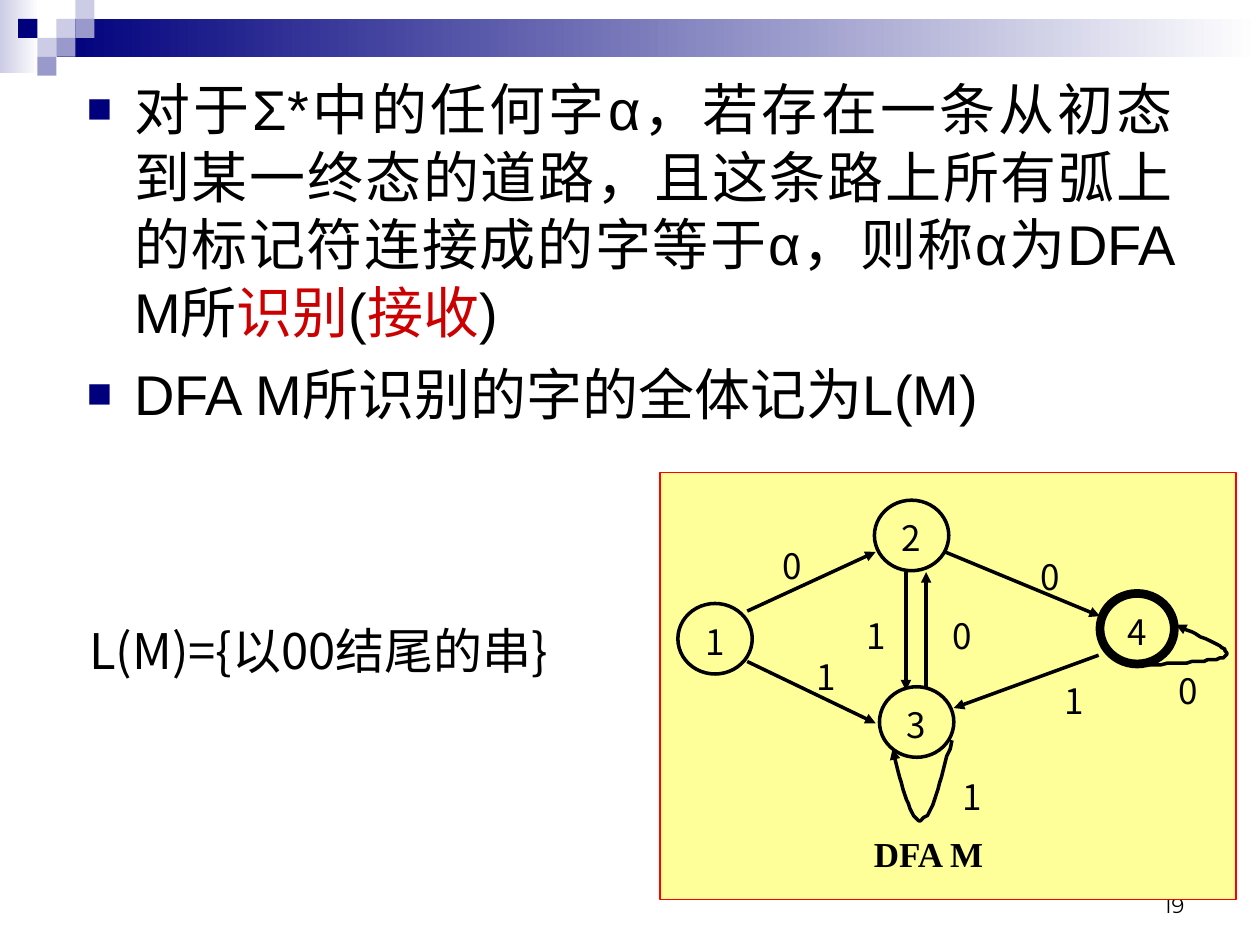
from lxml import etree
from pptx import Presentation
from pptx import util as u
from pptx.dml.color import RGBColor
from pptx.enum import shapes, text
from pptx.oxml import ns

Pt = u.Pt
BLACK = RGBColor(0, 0, 0)
WHITE = RGBColor(255, 255, 255)
NAVY = RGBColor(0, 0, 0x7D)
PALE = RGBColor(0xCC, 0xCC, 0xE6)
LILAC = RGBColor(0x99, 0x99, 0xCC)
RED = RGBColor(0xCC, 0, 0)
EDGE = RGBColor(255, 0, 0)
CREAM = RGBColor(255, 255, 0x99)
HAN = "Noto Sans CJK SC"
LEFT, MID, RIGHT, JUST = (text.PP_ALIGN.LEFT, text.PP_ALIGN.CENTER,
                          text.PP_ALIGN.RIGHT, text.PP_ALIGN.JUSTIFY)
TOP, CORE, LOW = (text.MSO_ANCHOR.TOP, text.MSO_ANCHOR.MIDDLE,
                  text.MSO_ANCHOR.BOTTOM)


def sub(node, tag, **attrs):
    return etree.SubElement(node, ns.qn(tag), attrs)


class Deck:
    def __init__(self):
        self.prs = Presentation()
        self.prs.slide_width, self.prs.slide_height = Pt(720), Pt(540)
        self.slide = self.prs.slides.add_slide(self.prs.slide_layouts[6])
        self.items = self.slide.shapes

    def style(self, run, size, face=HAN, color=BLACK, bold=False):
        font = run.font
        font.size, font.name, font.bold = Pt(size), face, bold
        font.color.rgb = color
        sub(font._element, "a:ea", typeface=HAN)

    def frame(self, shape, anchor, inset=(0, 0), wrap=True):
        tf = shape.text_frame
        tf.word_wrap, tf.vertical_anchor = wrap, anchor
        tf.margin_left = tf.margin_right = Pt(inset[0])
        tf.margin_top = tf.margin_bottom = Pt(inset[1])
        return tf

    def rect(self, x, y, w, h, fill, edge=None, fade=False):
        box = self.items.add_shape(shapes.MSO_SHAPE.RECTANGLE,
                                   Pt(x), Pt(y), Pt(w), Pt(h))
        box.shadow.inherit = False
        if fade:
            box.fill.gradient()
            box.fill.gradient_angle = 0
            for stop, color in zip(box.fill.gradient_stops, (fill, WHITE)):
                stop.color.rgb = color
        else:
            box.fill.solid()
            box.fill.fore_color.rgb = fill
        if edge:
            box.line.color.rgb = edge
            box.line.width = Pt(1)
        else:
            box.line.fill.background()

    def words(self, x, y, w, h, copy, size, face=HAN, align=LEFT, anchor=TOP,
              inset=(7.2, 3.6), gap=None, bold=False, wrap=True):
        box = self.items.add_textbox(Pt(x), Pt(y), Pt(w), Pt(h))
        tf = self.frame(box, anchor, inset, wrap)
        tf.text = copy
        para = tf.paragraphs[0]
        para.alignment, para.line_spacing = align, gap
        self.style(para.runs[0], size, face, bold=bold)

    def bullets(self, x, y, w, h, paras, size, gap):
        box = self.items.add_textbox(Pt(x), Pt(y), Pt(w), Pt(h))
        tf = self.frame(box, TOP, (7.2, 3.6))
        for i, parts in enumerate(paras):
            para = tf.add_paragraph() if i else tf.paragraphs[0]
            para.alignment, para.line_spacing = JUST, Pt(gap)
            para.space_before = Pt(8 if i else 0)
            props = para._p.get_or_add_pPr()
            props.set("marL", str(Pt(27)))
            props.set("indent", str(-Pt(27)))
            tint = sub(props, "a:buClr")
            sub(tint, "a:srgbClr", val=str(NAVY))
            sub(props, "a:buSzPct", val="75000")
            sub(props, "a:buFont", typeface="Arial")
            sub(props, "a:buChar", char="■")
            for copy, color in parts:
                run = para.add_run()
                run.text = copy
                self.style(run, size, "Arial", color)

    def label(self, x, y, copy):
        self.words(x - 14, y - 13.5, 28, 27, copy, 20, align=MID,
                   anchor=CORE, inset=(0, 0), gap=1.04)

    def state(self, x, y, name, width=2):
        w, h = 42.5, 40.3
        ring = self.items.add_shape(shapes.MSO_SHAPE.OVAL, Pt(x - w / 2),
                                    Pt(y - h / 2), Pt(w), Pt(h))
        ring.shadow.inherit = False
        ring.fill.background()
        ring.line.color.rgb = BLACK
        ring.line.width = Pt(width)
        tf = self.frame(ring, CORE)
        tf.text = name
        para = tf.paragraphs[0]
        para.alignment, para.line_spacing = MID, 1.12
        self.style(para.runs[0], 20)

    def stroke(self, line):
        line.color.rgb = BLACK
        line.width = Pt(2)
        sub(line._get_or_add_ln(), "a:tailEnd", type="triangle")

    def arrow(self, x1, y1, x2, y2):
        link = self.items.add_connector(shapes.MSO_CONNECTOR.STRAIGHT,
                                        Pt(x1), Pt(y1), Pt(x2), Pt(y2))
        self.stroke(link.line)
        sub(link._element.spPr, "a:effectLst")

    def loop(self, start, *curves, steps=16):
        pts, a = [], start
        for b, c, d in curves:
            for i in range(1, steps + 1):
                t = i / steps
                s = 1 - t
                pts.append(tuple(
                    s**3 * p + 3 * s * s * t * q + 3 * s * t * t * r + t**3 * e
                    for p, q, r, e in zip(a, b, c, d)))
            a = d
        path = self.items.build_freeform(*start, scale=Pt(1))
        path.add_line_segments(pts, close=False)
        arc = path.convert_to_shape()
        arc.shadow.inherit = False
        arc.fill.background()
        self.stroke(arc.line)


def main():
    deck = Deck()

    # Header band and mosaic of squares
    deck.rect(0, 0, 22.3, 41.8, PALE, fade=True)
    deck.rect(32.4, 10.8, 687.6, 21.6, NAVY, fade=True)
    for col, row, color in ((2, 1, PALE), (3, 0, PALE), (3, 1, LILAC),
                            (1, 2, PALE), (0, 1, NAVY), (2, 2, LILAC),
                            (1, 3, LILAC)):
        deck.rect(10.4 + 10.9 * col, 10.8 * row, 10.9, 10.8, color)

    # Slide number and body
    deck.words(516.2, 491.8, 167.8, 36, "19", 12, "Montserrat", RIGHT, LOW)
    deck.bullets(42.5, 39, 635, 266, (
        (("对于Σ*中的任何字α，若存在一条从初态到某一终态的道路，且这"
          "条路上所有弧上的标记符连接成的字等于α，则称α为DFA M所", BLACK),
         ("识别", RED), ("(", BLACK), ("接收", RED), (")", BLACK)),
        (("DFA M所识别的字的全体记为L(M)", BLACK),)), 32, 38.6)
    deck.words(43.9, 351, 306.7, 41, "L(M)={以00结尾的串}", 28,
               gap=Pt(33.8), wrap=False)

    # Automaton panel
    deck.rect(377.3, 270, 329, 244, CREAM, EDGE)
    deck.words(462.2, 468.7, 136.8, 38.2, "DFA M", 20, "Times New Roman",
               MID, CORE, bold=True)

    # States, the final one with a thick ring
    deck.state(408.6, 365, "1")
    deck.state(520.9, 306, "2")
    deck.state(523.8, 412.6, "3")
    deck.state(649.8, 359.3, "4", 5)

    # Transitions
    for ends in ((427, 349.2, 500.4, 315.4), (427, 378, 500.4, 413.3),
                 (627.8, 374.4, 545, 404.6), (540, 315.4, 628.6, 352.1),
                 (517.7, 326.9, 517.7, 394.6), (529.2, 392.4, 529.2, 326.9)):
        deck.arrow(*ends)
    deck.loop((655.2, 380.2),
              ((676, 378.7), (697.7, 378), (700.6, 374.4)),
              ((703.4, 370.8), (687.6, 364.3), (671.8, 357.1)))
    deck.loop((543.6, 423.4),
              ((537.8, 445.7), (532, 467.3), (526.3, 468.7)),
              ((521.3, 469.4), (515.5, 449.3), (509.8, 428.4)))

    # Input symbols
    for x, y, sign in ((600.1, 328.7, "0"), (472, 386.3, "1"),
                       (452.5, 322.9, "0"), (550.1, 362.5, "0"),
                       (679.3, 394.2, "0"), (500.8, 362.5, "1"),
                       (555.5, 454.7, "1"), (613.8, 400, "1")):
        deck.label(x, y, sign)

    deck.prs.save("out.pptx")


if __name__ == "__main__":
    main()
